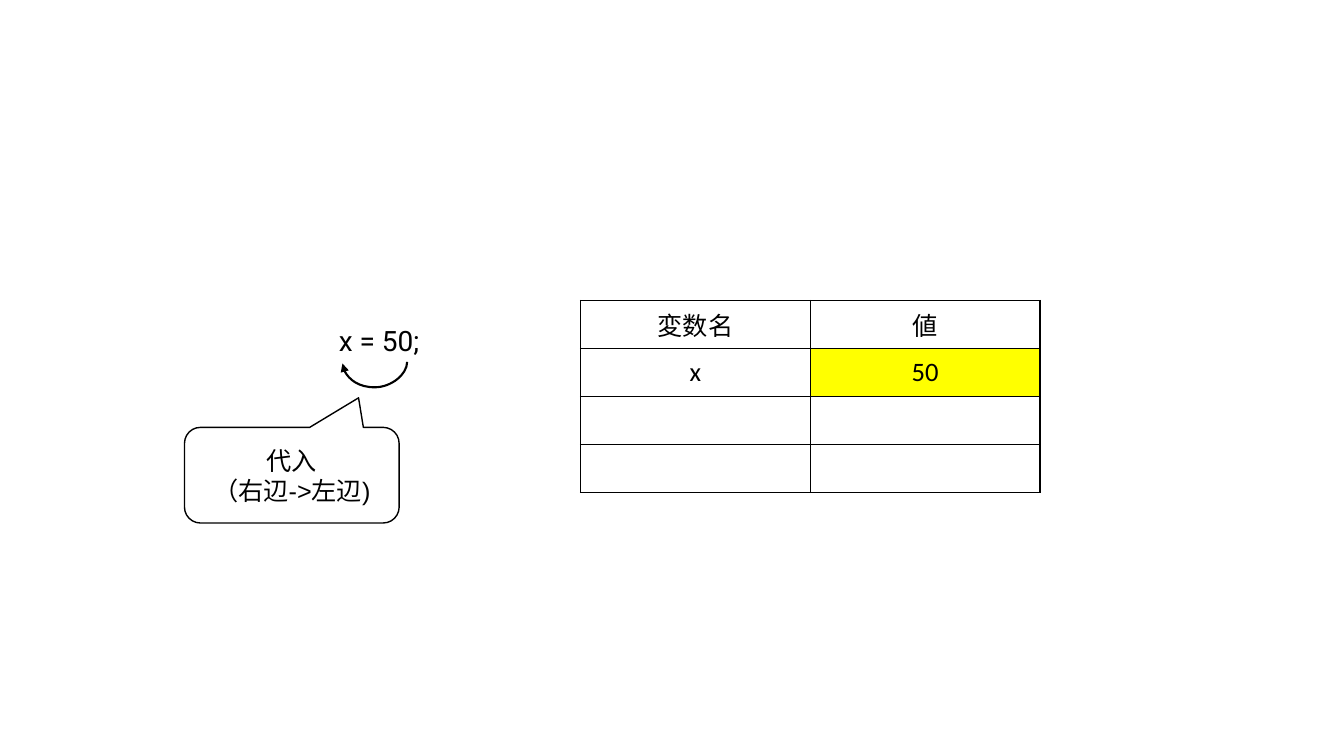
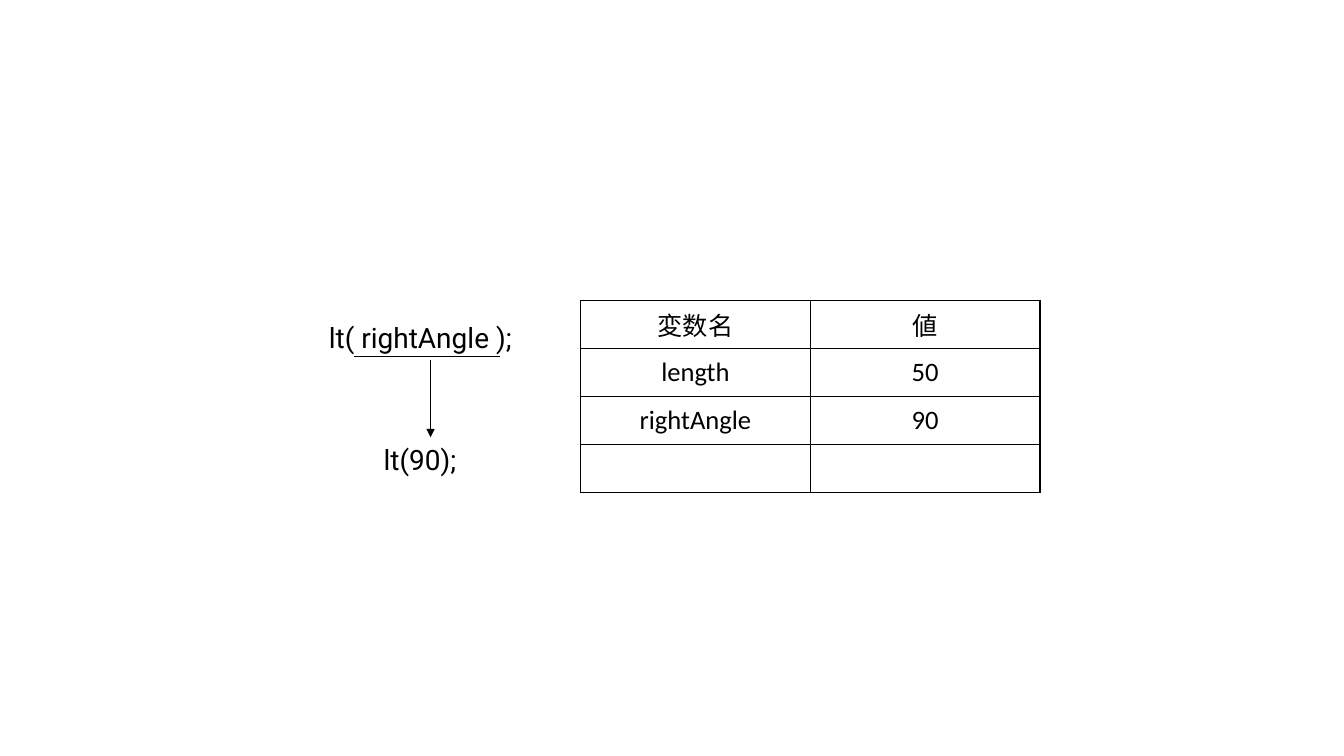
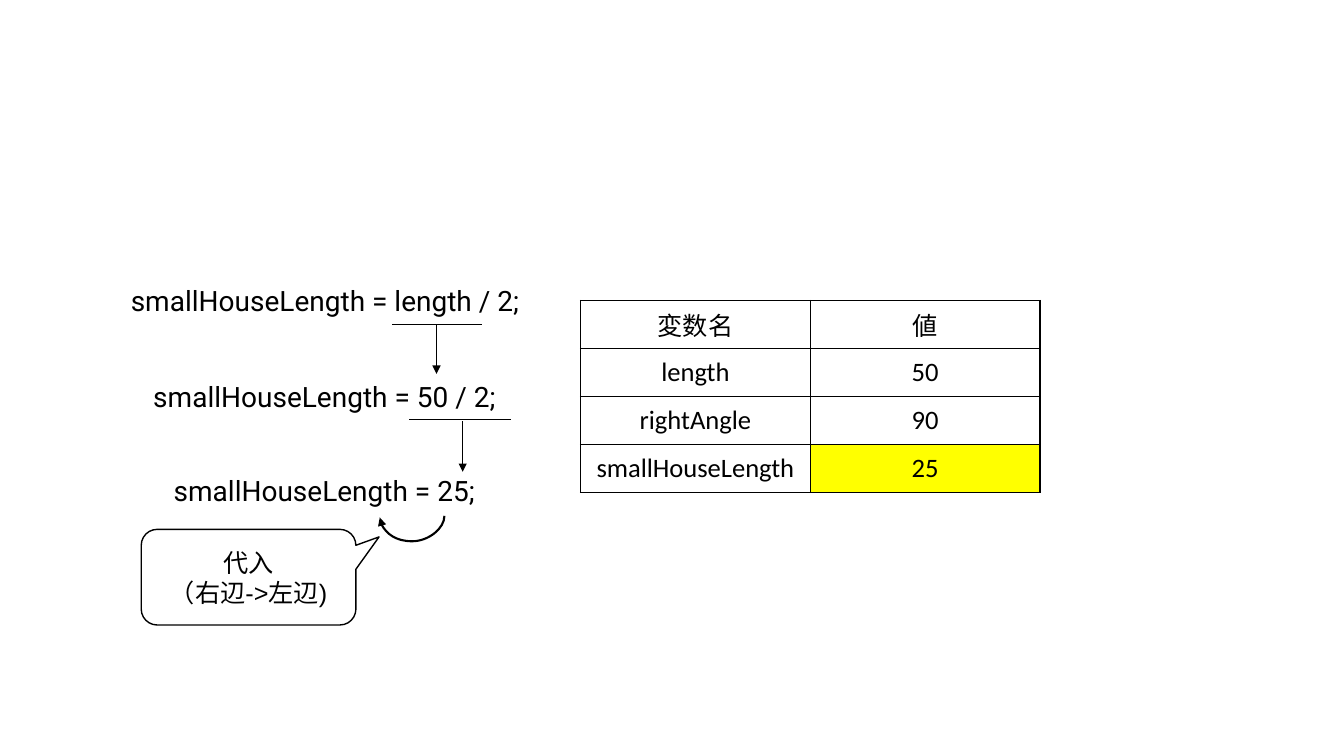
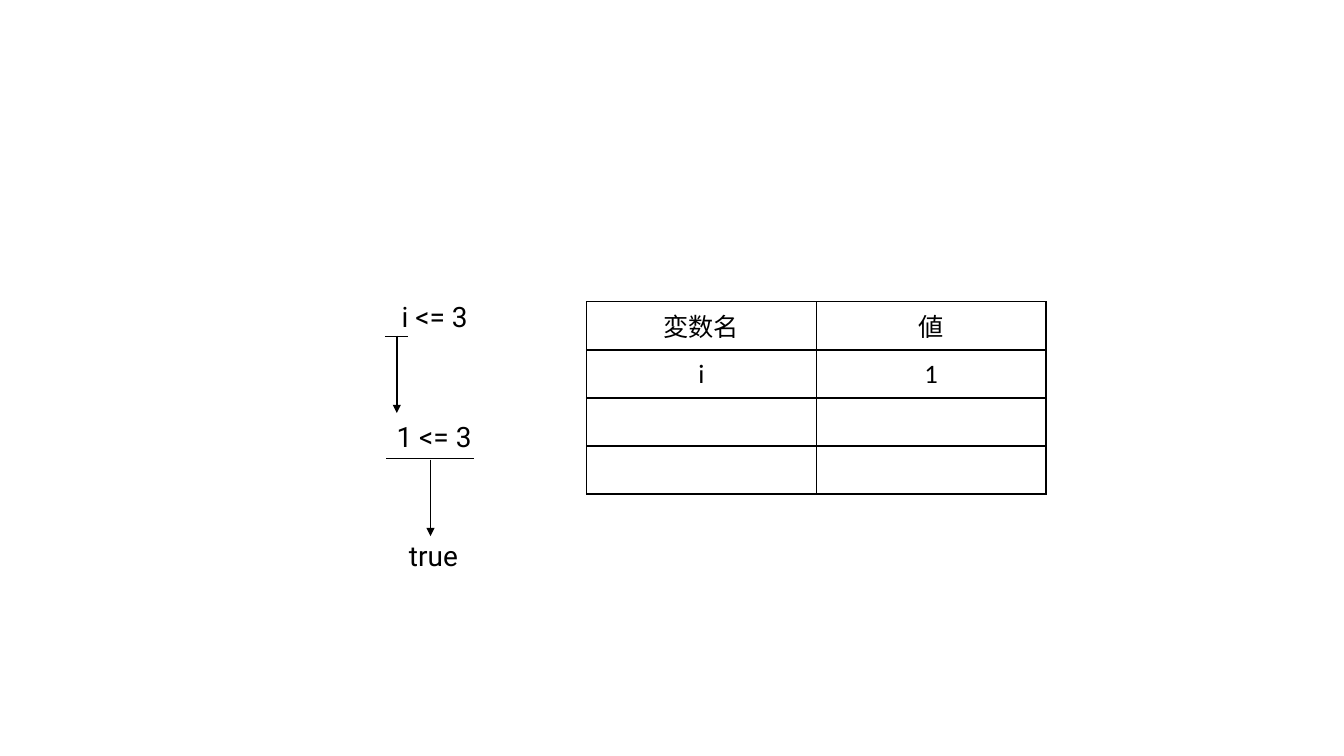
from lxml.etree import SubElement
from pptx import Presentation
from pptx.dml.color import RGBColor
from pptx.enum.shapes import MSO_CONNECTOR, MSO_SHAPE
from pptx.enum.text import MSO_ANCHOR, MSO_AUTO_SIZE, PP_ALIGN
from pptx.oxml import parse_xml
from pptx.oxml.ns import nsdecls, qn
from pptx.util import Cm, Pt

INK = "000000"
MARK = "FFFF00"


def paint(code):
    return RGBColor.from_string(code)


def write(frame, text, font="Roboto", size=20, color=INK):
    """Fill a text frame with centred lines."""
    for num, line in enumerate(text.split("\n")):
        para = frame.paragraphs[0] if num == 0 else frame.add_paragraph()
        para.alignment = PP_ALIGN.CENTER
        run = para.add_run()
        run.text = line
        run.font.name = font
        run.font.size = Pt(size)
        run.font.color.rgb = paint(color)


class Deck:
    def __init__(self):
        self.prs = Presentation()
        self.prs.slide_width = Cm(33.87)
        self.prs.slide_height = Cm(19.05)
        self.slide = None

    def page(self):
        self.slide = self.prs.slides.add_slide(self.prs.slide_layouts[6])

    # Variable table: header, then name and value rows
    def table(self, pairs, mark=None, x=14.63, y=7.57):
        rows = [("変数名", "値")] + pairs
        grid = self.slide.shapes.add_table(
            4, 2, Cm(x), Cm(y), Cm(11.58), Cm(4.84)).table
        grid.first_row = grid.horz_banding = False
        for row in grid.rows:
            row.height = Cm(1.21)
        for r in range(4):
            for c in range(2):
                cell = grid.cell(r, c)
                self.border(cell)
                cell.vertical_anchor = MSO_ANCHOR.MIDDLE
                cell.margin_left = cell.margin_right = Cm(0.28)
                cell.margin_top = cell.margin_bottom = Cm(0.15)
                if (r, c) == mark:
                    cell.fill.solid()
                    cell.fill.fore_color.rgb = paint(MARK)
                else:
                    cell.fill.background()
                if r < len(rows):
                    write(cell.text_frame, rows[r][c], font="Calibri",
                          size=19 if r else 18)

    def border(self, cell):
        props = cell._tc.get_or_add_tcPr()
        for side in "LRTB":
            props.append(parse_xml(
                f'<a:ln{side} {nsdecls("a")} w="{Pt(1)}"><a:solidFill>'
                f'<a:srgbClr val="{INK}"/></a:solidFill></a:ln{side}>'))

    # One line of code
    def code(self, text, x, y, width):
        box = self.slide.shapes.add_textbox(Cm(x), Cm(y), Cm(width), Cm(1.12))
        frame = box.text_frame
        frame.word_wrap = False
        frame.auto_size = MSO_AUTO_SIZE.SHAPE_TO_FIT_TEXT
        write(frame, text)

    # Speech bubble that explains the assignment
    def bubble(self, x, y, tip):
        box = self.slide.shapes.add_shape(
            MSO_SHAPE.ROUNDED_RECTANGULAR_CALLOUT,
            Cm(x), Cm(y), Cm(5.41), Cm(2.41))
        box.shadow.inherit = False
        box.fill.background()
        box.line.color.rgb = paint(INK)
        box.line.width = Pt(1)
        for num, val in enumerate((*tip, 0.167)):
            box.adjustments[num] = val
        box.text_frame.word_wrap = True
        box.text_frame.vertical_anchor = MSO_ANCHOR.MIDDLE
        write(box.text_frame, "代入\n（右辺->左辺)", font="Arial", size=18)

    # Straight or curved line, with or without a head
    def line(self, x1, y1, x2, y2, head=False, width=1,
             kind=MSO_CONNECTOR.STRAIGHT):
        link = self.slide.shapes.add_connector(
            kind, Cm(x1), Cm(y1), Cm(x2), Cm(y2))
        link.line.color.rgb = paint(INK)
        link.line.width = Pt(width)
        props = link._element.spPr
        if head:
            SubElement(props.find(qn("a:ln")), qn("a:tailEnd"),
                       type="triangle")
        SubElement(props, qn("a:effectLst"))
        return props

    def under(self, x1, x2, y):
        self.line(x1, y, x2, y)

    def arrow(self, x, y1, y2):
        self.line(x, y1, x, y2, head=True)

    # Arc below the code, from its right end back to the left
    def arc(self, x, y, span=1.63, drop=0.04, depth=0.64):
        left = x - (span + drop) / 2
        top = y + (drop - span) / 2
        props = self.line(left, top, left + drop, top + span, head=True,
                          width=1.5, kind=MSO_CONNECTOR.CURVE)
        props.find(qn("a:xfrm")).set("rot", str(90 * 60000))
        bend = round(depth / drop * 100000)
        SubElement(props.find(qn("a:prstGeom")).find(qn("a:avLst")),
                   qn("a:gd"), name="adj1", fmla=f"val {bend}")


def main():
    deck = Deck()
    known = [("length", "50"), ("rightAngle", "90")]

    # Assigning a value
    deck.page()
    deck.table([("x", "50")], mark=(1, 1))
    deck.code("x = 50;", 7.42, 8.03, 4.27)
    deck.bubble(4.65, 10.77, (0.311, -0.809))
    deck.arc(10.26, 9.12)

    # Using a variable as an argument
    deck.page()
    deck.table(known)
    deck.code("lt( rightAngle );", 7.7, 7.95, 5.79)
    deck.code("lt(90);", 9.19, 11.02, 2.79)
    deck.under(8.92, 12.6, 8.99)
    deck.arrow(10.85, 9.07, 11.02)

    # Calculating, then assigning
    deck.page()
    deck.table(known + [("smallHouseLength", "25")], mark=(3, 1))
    deck.code("smallHouseLength = length / 2;", 2.57, 7.01, 11.25)
    deck.under(9.88, 12.14, 8.18)
    deck.arrow(11, 8.18, 9.42)
    deck.code("smallHouseLength = 50 / 2;", 3.15, 9.45, 10.06)
    deck.under(10.31, 12.88, 10.57)
    deck.arrow(11.66, 10.62, 11.89)
    deck.code("smallHouseLength = 25;", 3.78, 11.81, 8.79)
    deck.bubble(3.56, 13.34, (0.608, -0.421))
    deck.arc(11.2, 13)

    # Evaluating a condition
    deck.page()
    deck.table([("i", "1")], x=14.78, y=7.6)
    deck.code("i <= 3", 9.7, 7.42, 2.51)
    deck.under(9.7, 10.29, 8.48)
    deck.arrow(10, 8.46, 10.41)
    deck.code("1 <= 3", 9.53, 10.44, 2.82)
    deck.under(9.73, 11.94, 11.56)
    deck.arrow(10.85, 11.58, 13.51)
    deck.code("true", 9.96, 13.44, 1.93)

    deck.prs.save("out.pptx")


if __name__ == "__main__":
    main()
